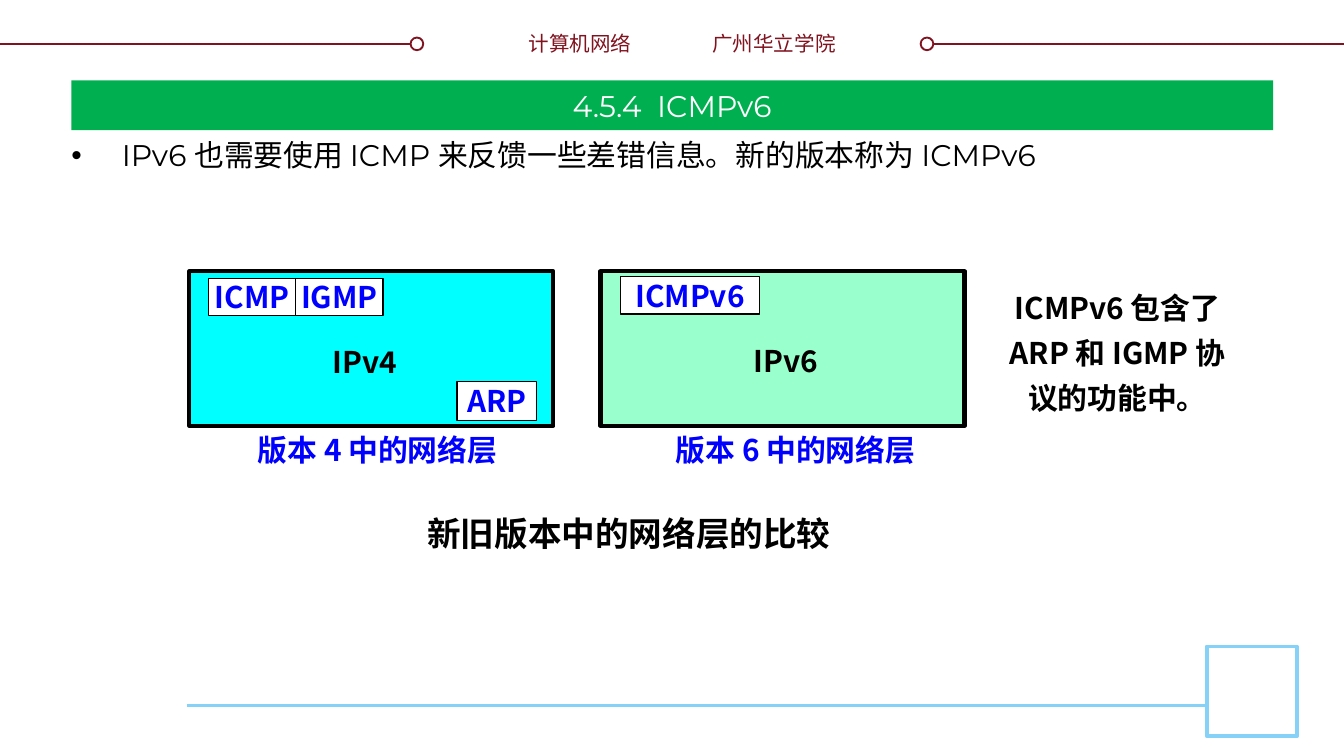
from lxml.etree import SubElement
from pptx import Presentation
from pptx.dml.color import RGBColor
from pptx.enum.shapes import MSO_CONNECTOR, MSO_SHAPE
from pptx.enum.text import MSO_ANCHOR, MSO_AUTO_SIZE, PP_ALIGN
from pptx.oxml.ns import qn
from pptx.util import Cm, Pt

HUES = {"wine": "7F131F", "sky": "85D1F7", "green": "00B050", "cyan": "00FFFF",
        "mint": "99FFCC", "blue": "0000FF", "black": "000000", "white": "FFFFFF"}
CJK = "Noto Sans CJK SC"
LATIN = "Montserrat"

TITLE = "4.5.4  ICMPv6"
BODY = "IPv6 也需要使用 ICMP 来反馈一些差错信息。新的版本称为 ICMPv6"
NOTE = "ICMPv6 包含了 ARP 和 IGMP 协议的功能中。"
CAPTION = "新旧版本中的网络层的比较"

# Boxes are left, top, width, height in cm; those in a panel start at its corner
HEADS = [("计算机网络", (9.73, 0.46, 2.46, 0.74), PP_ALIGN.RIGHT, False),
         ("广州华立学院", (13.21, 0.46, 2.95, 0.74), PP_ALIGN.LEFT, True)]
PANEL = (6.88, 2.92)
PANELS = [
    {"at": (3.58, 5.13), "hue": "cyan",
     "name": ("IPv4", (2.46, 1.25, 1.96, 0.94)),
     "label": ("版本 4 中的网络层", (0.66, 2.9, 5.79, 0.94)),
     "tags": [("ICMP", (0.36, 0.13, 1.65, 0.71)),
              ("IGMP", (2.01, 0.13, 1.65, 0.71)),
              ("ARP", (5.06, 2.08, 1.5, 0.74))]},
    {"at": (11.35, 5.13), "hue": "mint",
     "name": ("IPv6", (2.65, 1.22, 1.96, 0.94)),
     "label": ("版本 6 中的网络层", (0.79, 2.9, 5.79, 0.94)),
     "tags": [("ICMPv6", (0.38, 0.1, 2.62, 0.71))]},
]
WIDE, HIGH = 25.4, 14.29
RULE, REACH, DOT = 0.83, 8.0, 0.24


def hue(name):
    return RGBColor.from_string(HUES[name])


def cms(box):
    return [Cm(v) for v in box]


def shift(box, at):
    return (box[0] + at[0], box[1] + at[1], *box[2:])


def write(shape, text, color, size=16, align=PP_ALIGN.CENTER, bold=False,
          face=CJK, wrap=True):
    frame = shape.text_frame
    frame.word_wrap = wrap
    frame.text = text
    para = frame.paragraphs[0]
    para.alignment = align
    font = para.font
    font.size, font.bold, font.name = Pt(size), bold, face
    font.color.rgb = hue(color)
    props = para._p.pPr.find(qn("a:defRPr"))
    SubElement(props, qn("a:ea")).set("typeface", CJK)
    return para


def label(slide, box, text, color, **style):
    return write(slide.shapes.add_textbox(*cms(box)), text, color, **style)


def block(slide, box, fill, edge, width, kind=MSO_SHAPE.RECTANGLE):
    shape = slide.shapes.add_shape(kind, *cms(box))
    shape.shadow.inherit = False
    shape.fill.solid()
    shape.fill.fore_color.rgb = hue(fill)
    shape.line.color.rgb = hue(edge)
    shape.line.width = Pt(width)
    return shape


def rule(slide, left, right, y, color, width):
    line = slide.shapes.add_connector(
        MSO_CONNECTOR.STRAIGHT, Cm(left), Cm(y), Cm(right), Cm(y))
    line.line.color.rgb = hue(color)
    line.line.width = Pt(width)
    SubElement(line._element.spPr, qn("a:effectLst"))


def place(shape, box):
    shape.left, shape.top, shape.width, shape.height = cms(box)
    shape.text_frame.auto_size = MSO_AUTO_SIZE.NONE


def frame(slide):
    """Draw the header and footer lines around the content."""
    for left, dot in ((0, REACH - DOT), (WIDE - REACH, WIDE - REACH)):
        rule(slide, left, left + REACH, RULE, "wine", 1)
        block(slide, (dot, RULE - DOT / 2, DOT, DOT), "white", "wine", 1,
              MSO_SHAPE.OVAL)
    for text, box, align, wrap in HEADS:
        label(slide, box, text, "wine", size=11, align=align, wrap=wrap)
    rule(slide, 3.53, 22.81, 13.33, "sky", 1.5)
    block(slide, (22.81, 12.22, 1.7, 1.7), "white", "sky", 2)


def heading(slide):
    title, body = slide.placeholders
    place(title, (1.35, 1.52, 22.71, 0.94))
    title.fill.solid()
    title.fill.fore_color.rgb = hue("green")
    title.text_frame.vertical_anchor = MSO_ANCHOR.MIDDLE
    write(title, TITLE, "white", face=LATIN)

    place(body, (1.35, 2.49, 22.71, 10.29))
    text = body.text_frame
    text.margin_left = text.margin_right = 0
    text.margin_top = text.margin_bottom = Cm(0.1)
    para = text.paragraphs[0]
    para.space_before, para.space_after = Pt(0), Pt(6)
    props = para._p.get_or_add_pPr()
    props.set("marL", str(Cm(0.5)))
    props.set("indent", str(-Cm(0.5)))
    SubElement(props, qn("a:buChar")).set("char", "▪")
    write(body, BODY, "black", align=PP_ALIGN.JUSTIFY, face=LATIN)


def panel(slide, data):
    at = data["at"]
    block(slide, (*at, *PANEL), data["hue"], "black", 2.25)
    text, box = data["label"]
    label(slide, shift(box, at), text, "blue", bold=True)
    text, box = data["name"]
    label(slide, shift(box, at), text, "black", align=PP_ALIGN.LEFT, bold=True)
    for text, box in data["tags"]:
        tag = block(slide, shift(box, at), "white", "black", 0.75)
        tag.text_frame.vertical_anchor = MSO_ANCHOR.MIDDLE
        write(tag, text, "blue", bold=True, wrap=False)


def main():
    deck = Presentation()
    deck.slide_width, deck.slide_height = Cm(WIDE), Cm(HIGH)
    slide = deck.slides.add_slide(deck.slide_layouts[1])
    frame(slide)
    heading(slide)
    for data in PANELS:
        panel(slide, data)
    label(slide, (6.35, 9.58, 11.07, 1.02), CAPTION, "black", size=18, bold=True)
    note = label(slide, (18.77, 5.18, 4.7, 2.82), NOTE, "black", bold=True)
    note.line_spacing = Pt(24)
    deck.save("out.pptx")


if __name__ == "__main__":
    main()
